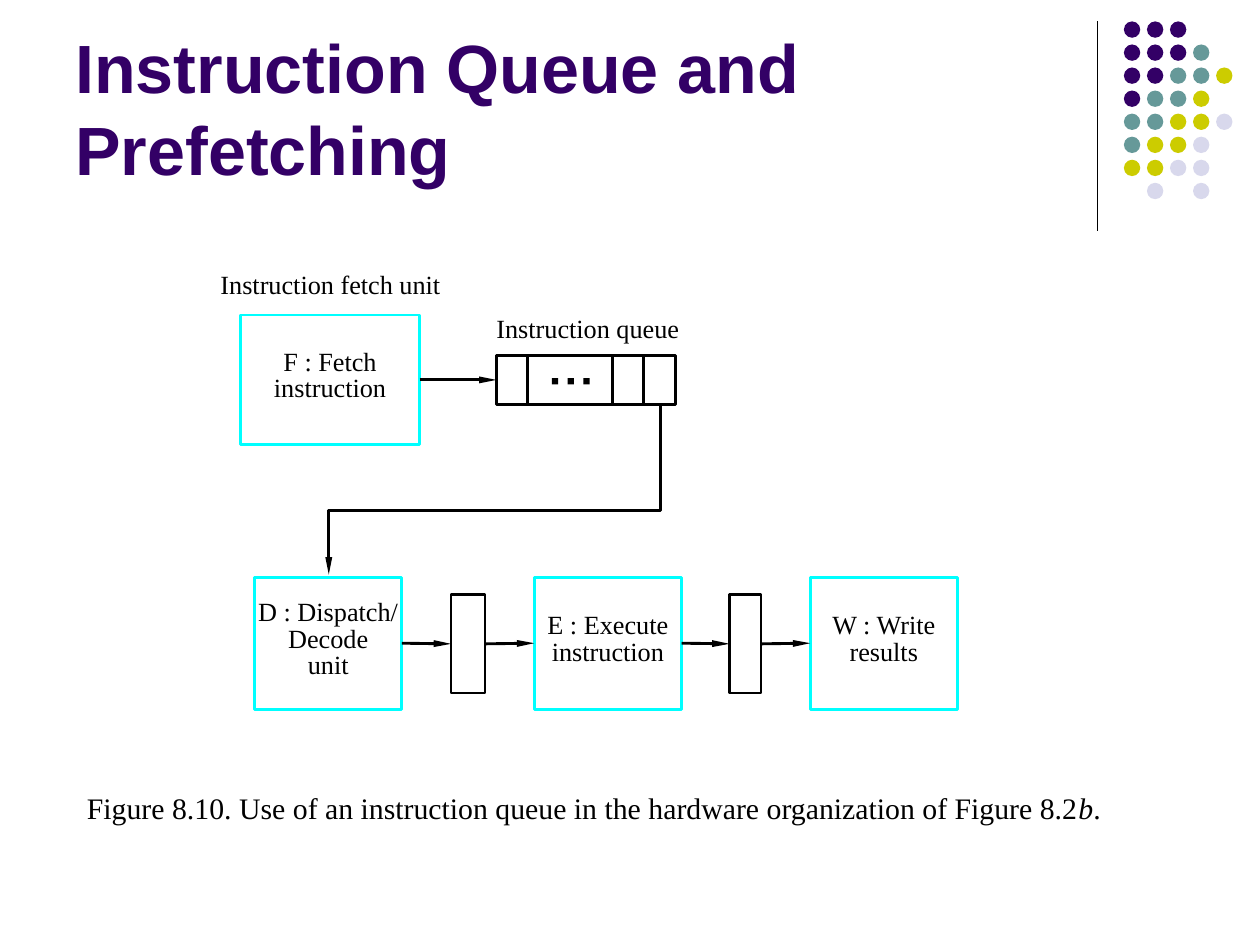
from dataclasses import dataclass

from lxml.etree import SubElement
from pptx import Presentation
from pptx.dml.color import RGBColor
from pptx.enum.shapes import MSO_CONNECTOR, MSO_SHAPE
from pptx.enum.text import MSO_ANCHOR, PP_ALIGN
from pptx.oxml.ns import qn
from pptx.util import Emu, Inches, Pt

COLS, ROWS = 100, 75
CELL = Inches(0.1)
TOP, LEFT, RIGHT = 0, 1, 3


@dataclass(frozen=True)
class Theme:
    ink: str = "000000"
    cyan: str = "00FFFF"
    plum: str = "330066"
    teal: str = "669999"
    lime: str = "CCCC00"
    mist: str = "D8D8EC"
    sans: str = "Arial"
    serif: str = "Times New Roman"
    title: float = 39
    label: float = 15
    note: float = 17
    thin: float = 0.75
    line: float = 1.63


@dataclass(frozen=True)
class Box:
    """A rectangle in grid columns and rows, with its lines of text."""
    x: float
    y: float
    w: float
    h: float
    text: str = ""
    edge: str = "000000"


THEME = Theme()

FETCH = Box(19.1, 25, 14.2, 10.3, "F : Fetch\ninstruction", THEME.cyan)
QUEUE = Box(39.4, 28.2, 14.2, 3.9)
STAGES = [
    Box(20.2, 45.8, 11.7, 10.5, "D : Dispatch/\nDecode\nunit", THEME.cyan),
    Box(35.8, 47.2, 2.7, 7.8),
    Box(42.4, 45.8, 11.7, 10.5, "E : Execute\ninstruction", THEME.cyan),
    Box(57.9, 47.2, 2.5, 7.8),
    Box(64.3, 45.8, 11.7, 10.5, "W : Write\nresults", THEME.cyan),
]
SLOTS = [41.9, 48.6, 51.1]
LABELS = [
    Box(17.5, 21.3, 18.6, 2.5, "Instruction fetch unit"),
    Box(39.4, 24.8, 16, 2.5, "Instruction queue"),
]
ROUTE = [(52.4, 32.1), (52.4, 40.5), (26.1, 40.5), (26.1, 45.6)]
DOTS = ["ppp", "pppt", "ppttl", "pttl", "ttllm", "tllm", "llmm", " m m"]
TINTS = {"p": THEME.plum, "t": THEME.teal, "l": THEME.lime, "m": THEME.mist}


def grid(*cells: float) -> list[Emu]:
    """Turn counts of grid cells into lengths."""
    return [Emu(round(n * CELL)) for n in cells]


def rgb(code: str) -> RGBColor:
    return RGBColor.from_string(code)


def style(font, face: str, size: float, tint: str, bold: bool = False) -> None:
    font.name, font.size, font.bold = face, Pt(size), bold
    font.color.rgb = rgb(tint)


def pad(frame, side: float = 0, foot: float = 0) -> None:
    frame.margin_left = frame.margin_right = Inches(side)
    frame.margin_top, frame.margin_bottom = 0, Inches(foot)


def stroke(shape, tint: str, width: float, head: bool = False) -> None:
    shape.line.color.rgb = rgb(tint)
    shape.line.width = Pt(width)
    if head:
        line = shape.element.spPr.find(qn("a:ln"))
        SubElement(line, qn("a:tailEnd"), type="triangle", w="sm", len="lg")


def draw_box(shapes, box: Box):
    shape = shapes.add_shape(MSO_SHAPE.RECTANGLE,
                             *grid(box.x, box.y, box.w, box.h))
    shape.shadow.inherit = False
    shape.fill.background()
    stroke(shape, box.edge, THEME.line)
    if box.text:
        frame = shape.text_frame
        pad(frame, foot=0.05)
        frame.word_wrap = False
        frame.vertical_anchor = MSO_ANCHOR.MIDDLE
        frame.text = box.text
        for para in frame.paragraphs:
            para.alignment = PP_ALIGN.CENTER
            para.line_spacing = Pt(THEME.label)
            style(para.font, THEME.serif, THEME.label, THEME.ink)
    return shape


def draw_line(shapes, start: tuple, end: tuple, width: float,
              head: bool = False):
    line = shapes.add_connector(MSO_CONNECTOR.STRAIGHT,
                                *grid(*start, *end))
    stroke(line, THEME.ink, width, head)
    SubElement(line.element.spPr, qn("a:effectLst"))
    return line


def link(shapes, left, right) -> None:
    """Join two boxes, side to side, with an arrow."""
    line = draw_line(shapes, (0, 0), (1, 0), THEME.line, head=True)
    line.begin_connect(left, RIGHT)
    line.end_connect(right, LEFT)


def draw_text(shapes, box: Box, face: str, size: float, tint: str,
              bold: bool = False):
    frame = shapes.add_textbox(*grid(box.x, box.y, box.w, box.h)).text_frame
    frame.word_wrap = True
    pad(frame)
    para = frame.paragraphs[0]
    para.text = box.text
    style(para.font, face, size, tint, bold)
    return frame


def draw_spot(shapes, kind, x: float, y: float, size: float,
              tint: str) -> None:
    spot = shapes.add_shape(kind, *grid(x, y, size, size))
    spot.shadow.inherit = False
    spot.fill.solid()
    spot.fill.fore_color.rgb = rgb(tint)
    spot.line.fill.background()


def draw_decor(shapes) -> None:
    draw_line(shapes, (87.1, 1.7), (87.1, 18.3), THEME.thin)
    group = shapes.add_group_shape().shapes
    step = 1.83
    for row, marks in enumerate(DOTS):
        for col, mark in enumerate(marks):
            if mark in TINTS:
                draw_spot(group, MSO_SHAPE.OVAL, 89.2 + col * step,
                          1.7 + row * step, 1.3, TINTS[mark])


def draw_queue(shapes):
    for x in SLOTS:
        draw_line(shapes, (x, QUEUE.y + QUEUE.h), (x, QUEUE.y), THEME.line)
    for n in range(3):
        draw_spot(shapes, MSO_SHAPE.RECTANGLE, 43.8 + 1.25 * n, 30, 0.5,
                  THEME.ink)
    return draw_box(shapes, QUEUE)


def draw_route(shapes) -> None:
    first, *rest = [tuple(grid(*point)) for point in ROUTE]
    pen = shapes.build_freeform(*first)
    pen.add_line_segments(rest, close=False)
    route = pen.convert_to_shape()
    route.shadow.inherit = False
    route.fill.background()
    stroke(route, THEME.ink, THEME.line, head=True)


def main() -> None:
    deck = Presentation()
    deck.slide_width, deck.slide_height = grid(COLS, ROWS)
    shapes = deck.slides.add_slide(deck.slide_layouts[6]).shapes

    draw_decor(shapes)
    title = draw_text(
        shapes, Box(5, 1.3, 82.5, 14.2, "Instruction Queue and Prefetching"),
        THEME.sans, THEME.title, THEME.plum, bold=True)
    pad(title, side=0.1, foot=0.05)
    title.vertical_anchor = MSO_ANCHOR.BOTTOM

    link(shapes, draw_box(shapes, FETCH), draw_queue(shapes))
    stages = [draw_box(shapes, box) for box in STAGES]
    for left, right in zip(stages, stages[1:]):
        link(shapes, left, right)
    draw_route(shapes)

    for box in LABELS:
        draw_text(shapes, box, THEME.serif, THEME.label, THEME.ink)
    note = draw_text(
        shapes, Box(6.9, 62.7, 88.6, 2.8, "Figure 8.10. Use of an instruction "
                    "queue in the hardware organization of Figure 8.2"),
        THEME.serif, THEME.note, THEME.ink).paragraphs[0]
    for text, slant in (("b", True), (".", False)):
        run = note.add_run()
        run.text, run.font.italic = text, slant

    deck.save("out.pptx")


if __name__ == "__main__":
    main()
